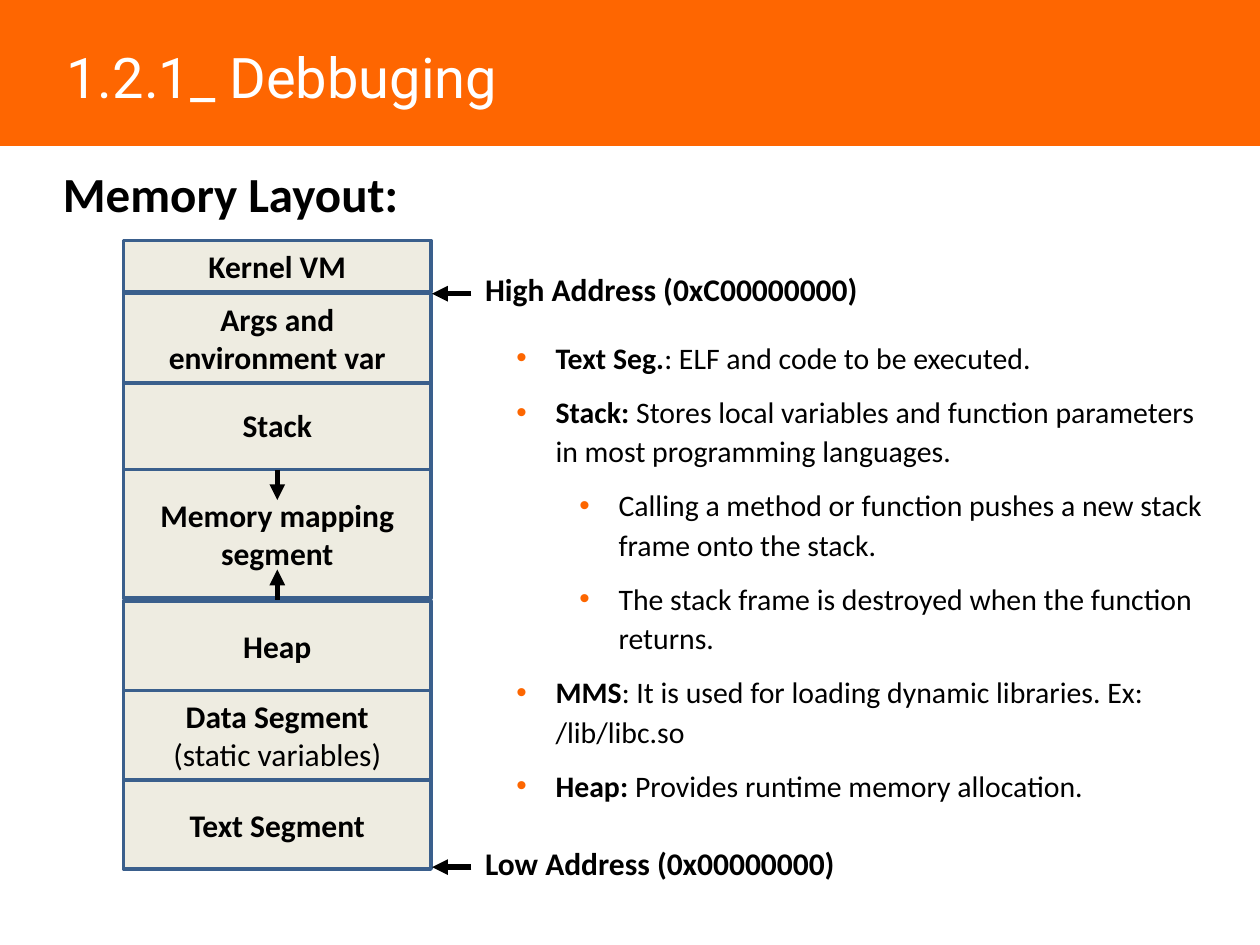
from lxml.etree import SubElement
from pptx import Presentation
from pptx.dml.color import RGBColor
from pptx.enum.shapes import MSO_CONNECTOR, MSO_SHAPE
from pptx.enum.text import MSO_ANCHOR, PP_ALIGN
from pptx.oxml.ns import qn
from pptx.util import Cm, Pt

ORANGE = RGBColor(0xFE, 0x66, 0x01)
BULLET_ORANGE = RGBColor(0xFD, 0x66, 0x00)
CREAM = RGBColor(0xEE, 0xEC, 0xE1)
BLUE = RGBColor(0x3A, 0x5F, 0x8C)
BLACK = RGBColor(0, 0, 0)
WHITE = RGBColor(0xFF, 0xFF, 0xFF)

COLUMN_LEFT = 2.49
COLUMN_WIDTH = 6.2
SEGMENT_HEIGHT = 1.8
ARROW_LENGTH = 0.61

SEGMENTS = [
    (15.72, SEGMENT_HEIGHT, [("Text Segment", True)]),
    (13.92, SEGMENT_HEIGHT, [("Data Segment", True), ("(static variables)", False)]),
    (12.12, SEGMENT_HEIGHT, [("Heap", True)]),
    (9.47, 2.59, [("Memory mapping segment", True)]),
    (7.67, SEGMENT_HEIGHT, [("Stack", True)]),
    (5.92, SEGMENT_HEIGHT, [("Args and environment var", True)]),
    (4.85, 1.04, [("Kernel VM", True)]),
]

NOTES = [
    (2, "Text Seg.", ": ELF and code to be executed."),
    (2, "Stack:", " Stores local variables and function parameters in most programming languages."),
    (3, "", "Calling a method or function pushes a new stack frame onto the stack."),
    (3, "", "The stack frame is destroyed when the function returns."),
    (2, "MMS", ": It is used for loading dynamic libraries. Ex: /lib/libc.so"),
    (2, "Heap:", " Provides runtime memory allocation."),
]


def write_text(paragraph, text, size=18, font="Calibri", color=BLACK, bold=False):
    run = paragraph.add_run()
    run.text = text
    run.font.size = Pt(size)
    run.font.name = font
    run.font.color.rgb = color
    run.font.bold = bold


def add_text_box(slide, left, top, width, height):
    box = slide.shapes.add_textbox(Cm(left), Cm(top), Cm(width), Cm(height))
    box.text_frame.word_wrap = True
    return box.text_frame


def add_label(slide, text, left, top, width, height, **text_format):
    frame = add_text_box(slide, left, top, width, height)
    write_text(frame.paragraphs[0], text, **text_format)


def add_rectangle(slide, left, top, width, height, fill, line, line_width):
    shape = slide.shapes.add_shape(
        MSO_SHAPE.RECTANGLE, Cm(left), Cm(top), Cm(width), Cm(height))
    shape.shadow.inherit = False
    shape.fill.solid()
    shape.fill.fore_color.rgb = fill
    shape.line.color.rgb = line
    shape.line.width = Pt(line_width)
    return shape


def add_segment(slide, top, height, lines):
    shape = add_rectangle(
        slide, COLUMN_LEFT, top, COLUMN_WIDTH, height, CREAM, BLUE, 2)
    frame = shape.text_frame
    frame.word_wrap = True
    frame.vertical_anchor = MSO_ANCHOR.MIDDLE
    for index, (text, bold) in enumerate(lines):
        paragraph = frame.add_paragraph() if index else frame.paragraphs[0]
        paragraph.alignment = PP_ALIGN.CENTER
        write_text(paragraph, text, bold=bold)


def add_arrow(slide, start_x, start_y, end_x, end_y):
    arrow = slide.shapes.add_connector(
        MSO_CONNECTOR.STRAIGHT, Cm(start_x), Cm(start_y), Cm(end_x), Cm(end_y))
    arrow.line.color.rgb = BLACK
    arrow.line.width = Pt(3)
    SubElement(arrow.line._get_or_add_ln(), qn("a:tailEnd"), type="triangle")
    SubElement(arrow._element.spPr, qn("a:effectLst"))


def set_bullet(paragraph, indent):
    properties = paragraph._p.get_or_add_pPr()
    properties.set("marL", str(Cm(indent)))
    properties.set("indent", str(Cm(-0.79)))
    color = SubElement(properties, qn("a:buClr"))
    SubElement(color, qn("a:srgbClr"), val=str(BULLET_ORANGE))
    SubElement(properties, qn("a:buFont"), typeface="Arial")
    SubElement(properties, qn("a:buChar"), char="•")


def add_notes(slide):
    frame = add_text_box(slide, 7.9, 6.65, 16.71, 10.03)
    for index, (level, term, explanation) in enumerate(NOTES):
        paragraph = frame.add_paragraph() if index else frame.paragraphs[0]
        paragraph.level = level
        paragraph.line_spacing = 1.1
        paragraph.space_before = Pt(8.5)
        set_bullet(paragraph, 3.05 + 1.27 * (level - 2))
        if term:
            write_text(paragraph, term, size=17, bold=True)
        write_text(paragraph, explanation, size=17)


def main():
    presentation = Presentation()
    presentation.slide_width = Cm(25.4)
    presentation.slide_height = Cm(19.05)
    slide = presentation.slides.add_slide(presentation.slide_layouts[6])

    add_rectangle(slide, 0, 0, 25.4, 2.92, ORANGE, ORANGE, 1)
    add_label(slide, "1.2.1_ Debbuging", 1.09, 0.74, 15.6, 1.6,
              size=32, font="Roboto", color=WHITE)
    add_label(slide, "Memory Layout:", 1.02, 3.18, 8.86, 1.45, size=28, bold=True)

    for top, height, lines in SEGMENTS:
        add_segment(slide, top, height, lines)

    center = COLUMN_LEFT + COLUMN_WIDTH / 2
    add_arrow(slide, center, 12.09, center, 12.09 - ARROW_LENGTH)
    add_arrow(slide, center, 9.47, center, 9.47 + ARROW_LENGTH)

    for text, label_top, arrow_y in (
        ("Low Address (0x00000000)", 16.89, 17.48),
        ("High Address (0xC00000000)", 5.31, 5.92),
    ):
        add_label(slide, text, 9.53, label_top, 11.35, 1.02, bold=True)
        add_arrow(slide, 9.5, arrow_y, 8.71, arrow_y)

    add_notes(slide)
    presentation.save("out.pptx")


if __name__ == "__main__":
    main()
